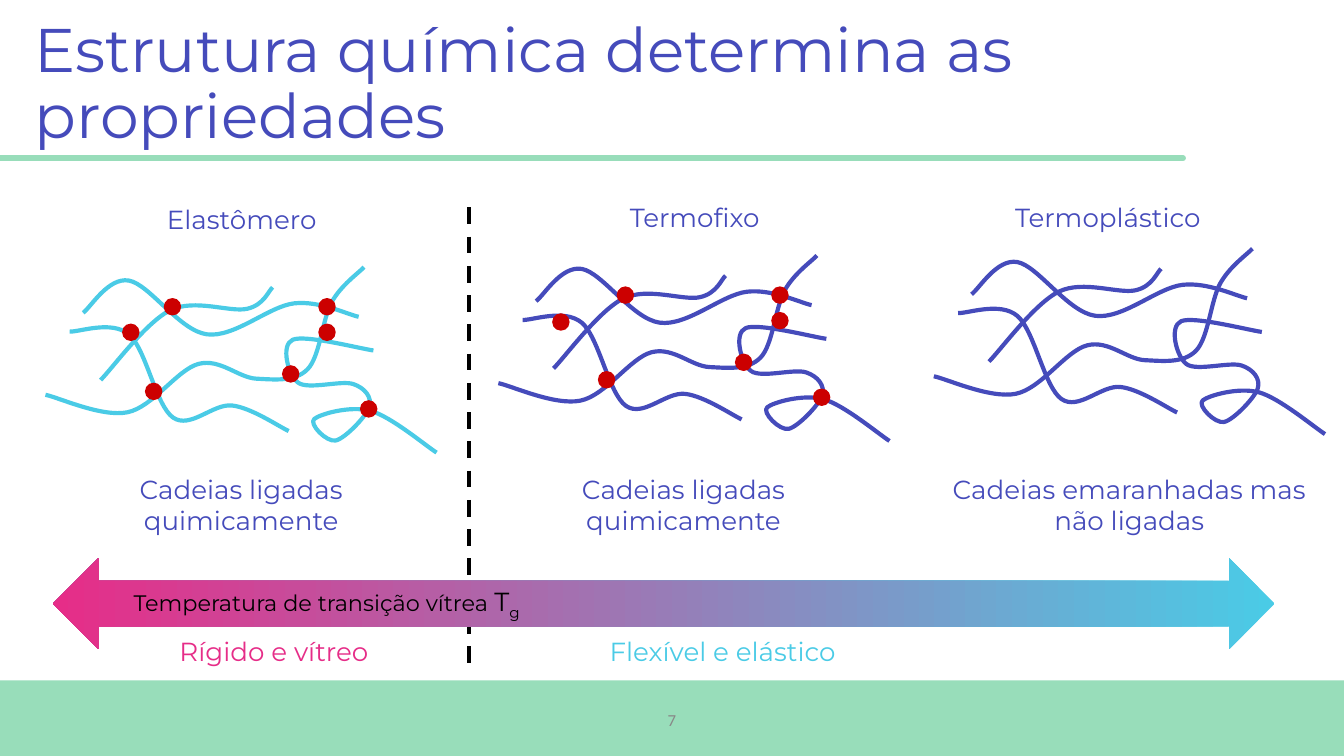
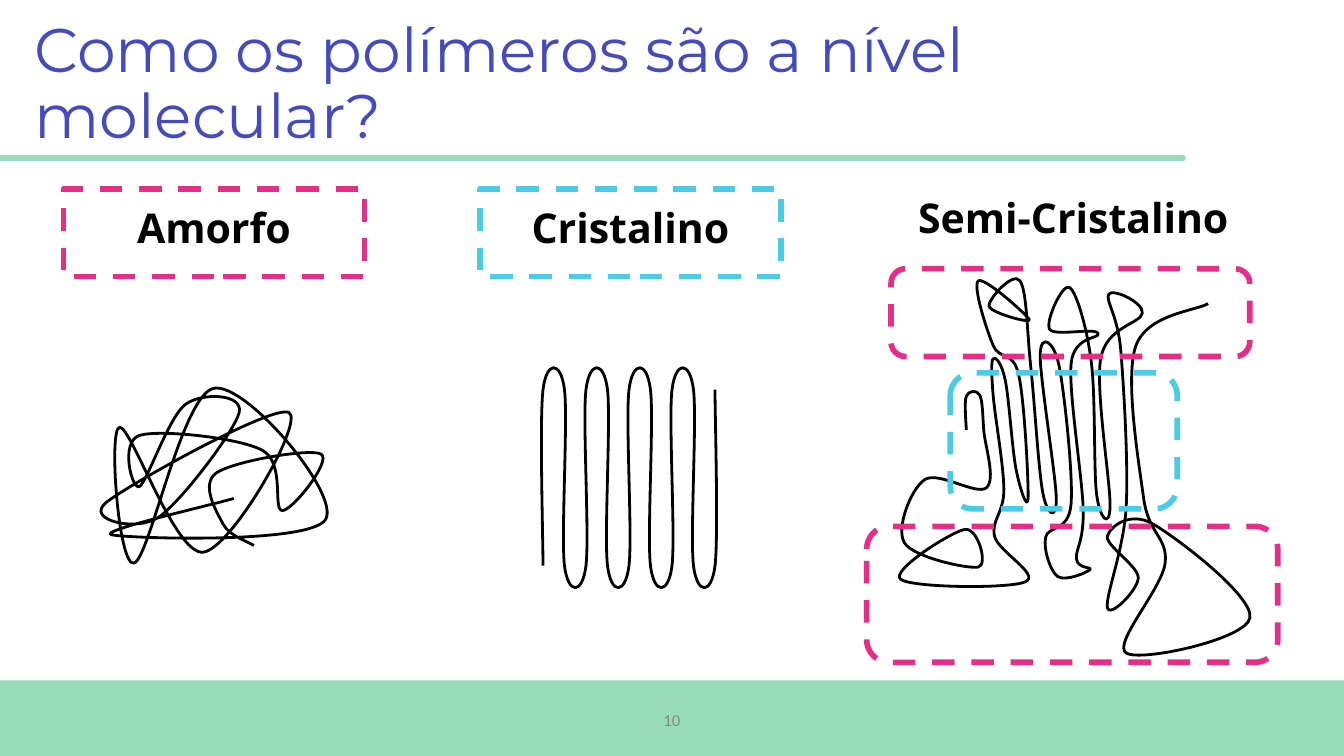
"""Builds two slides on polymer structure: bonded chains and molecular order."""
from dataclasses import dataclass

import lxml.etree
import pptx
import pptx.dml.color
import pptx.enum.dml
import pptx.enum.shapes
import pptx.enum.text
import pptx.oxml.ns
import pptx.util

Cm = pptx.util.Cm
Pt = pptx.util.Pt
qn = pptx.oxml.ns.qn
SHAPES = pptx.enum.shapes.MSO_SHAPE
ALIGN = pptx.enum.text.PP_ALIGN
ANCHOR = pptx.enum.text.MSO_ANCHOR


@dataclass(frozen=True)
class Theme:
    indigo: str = "454BBB"
    cyan: str = "4ACBE6"
    pink: str = "E62D88"
    mint: str = "98DDBA"
    red: str = "CC0000"
    gray: str = "888888"
    black: str = "000000"
    sans: str = "Montserrat"
    heading: str = "Open Sans"
    footer: str = "Calibri"
    title_size: float = 33
    heading_size: float = 22
    label_size: float = 14
    small_size: float = 12
    number_size: float = 9
    thin: float = 1.5
    medium: float = 2.25
    thick: float = 3


THEME = Theme()
SLIDE_W, SLIDE_H = 25.4, 14.29
CURVE_UNIT = 0.0254
LABEL_H, CAPTION_H, CAPTION_TOP, REGIME_TOP = 0.78, 1.4, 8.84, 11.92
TIGHT, WIDE = (0.19, 0.1), (0.25, 0.25)

PROPERTIES_TITLE = "Estrutura química determina as propriedades"
MOLECULAR_TITLE = "Como os polímeros são a nível molecular?"

STRANDS = [
    [(28, 34), (62, 10), (120, 50), (185, 27), (233, 37)],
    [(41, 84), (93, 32), (150, 31), (169, 15)],
    [(237, 0), (213, 26), (195, 76), (157, 83), (114, 72), (61, 108), (0, 95)],
    [(18, 48), (62, 50), (95, 112), (139, 103), (181, 122)],
    [(244, 62), (184, 54), (188, 86), (229, 87), (241, 104), (216, 129), (200, 113),
     (242, 107), (291, 138)],
]
SHARED_LINKS = [(88, 23), (74, 86), (176, 73), (203, 42), (203, 23), (234, 99)]
LINK_SIZE = 0.33

POLYMERS = [
    dict(name="Elastômero", name_at=(2.64, 3.74, 3.86), origin=(0.86, 5.05),
         color=THEME.cyan, links=SHARED_LINKS + [(57, 42)],
         caption="Cadeias ligadas quimicamente", caption_span=(1.93, 5.26)),
    dict(name="Termofixo", name_at=(11.2, 3.7, 3.86), origin=(9.42, 4.83),
         color=THEME.indigo, links=SHARED_LINKS + [(40, 43)],
         caption="Cadeias ligadas quimicamente", caption_span=(10.29, 5.26)),
    dict(name="Termoplástico", name_at=(18.54, 3.7, 4.8), origin=(17.65, 4.7),
         color=THEME.indigo, links=[],
         caption="Cadeias emaranhadas mas não ligadas", caption_span=(17.65, 7.39)),
]
TRANSITION = [("Temperatura de transição vítrea ", THEME.small_size, None),
              ("T", THEME.label_size, None), ("g", THEME.label_size, "-25000")]
TRANSITION_BOX = (1.59, 10.97, 9.17, LABEL_H)
TRANSITION_ARROW = (1, 10.55, 23.09, 1.72)
DIVIDER = (8.86, 3.92, 8.86, 12.69)
REGIMES = [("Rígido e vítreo", 1.42, 7.52, THEME.pink),
           ("Flexível e elástico", 9.42, 8.48, THEME.cyan)]

AMORPHOUS = [
    (189, 406), (166, 390), (161, 352), (239, 338), (210, 380), (195, 335), (104, 324),
    (104, 362), (138, 301), (178, 307), (118, 385), (79, 374), (215, 307), (151, 411),
    (89, 318), (100, 419), (159, 289), (242, 387), (83, 398), (174, 371),
]
LEGS, LEG_LEFT, LEG_STEP, LEG_TOP, LEG_BOTTOM = 9, 404, 16, 290, 421
CRYSTALLINE = [(LEG_LEFT + LEG_STEP * leg, y) for leg in range(LEGS)
               for y in ((LEG_TOP, LEG_BOTTOM) if leg % 2 else (LEG_BOTTOM, LEG_TOP))]
SEMICRYSTALLINE = [
    (719, 320), (719, 295), (729, 294), (732, 320), (734, 363), (688, 357), (673, 404),
    (728, 422), (718, 394), (670, 431), (763, 433), (740, 399), (747, 364), (739, 294),
    (739, 267), (748, 283), (756, 349), (765, 370), (758, 279), (739, 257), (728, 209),
    (766, 238), (736, 228), (759, 209), (767, 273), (776, 367), (786, 371), (774, 264),
    (788, 272), (797, 375), (778, 400), (787, 429), (811, 424), (801, 416), (806, 379),
    (797, 271), (817, 248), (781, 245), (796, 214), (812, 269), (816, 368), (826, 377),
    (819, 267), (850, 233), (825, 219), (834, 261), (838, 377), (824, 452), (847, 430),
    (824, 399), (858, 390), (930, 460), (838, 486), (867, 419), (851, 371), (845, 258),
    (899, 226),
]
ORDERS = [
    ("Amorfo", (1.2, 3.57, 5.69, 1.66), THEME.pink, AMORPHOUS),
    ("Cristalino", (9.07, 3.57, 5.69, 1.66), THEME.cyan, CRYSTALLINE),
    ("Semi-Cristalino", (16.4, 3.38, 7.77, 1.66), None, SEMICRYSTALLINE),
]
ZONES = [
    ((17.96, 7.05, 4.29, 2.57), THEME.cyan),
    ((16.38, 9.95, 7.77, 2.57), THEME.pink),
    ((16.84, 5.08, 6.78, 1.66), THEME.pink),
]


def rgb(color):
    return pptx.dml.color.RGBColor.from_string(color)


def set_line(line, color, width, dashed=False):
    line.color.rgb = rgb(color)
    line.width = Pt(width)
    if dashed:
        line.dash_style = pptx.enum.dml.MSO_LINE.DASH


def set_font(font, name, size, color, bold=None):
    font.name, font.size, font.bold = name, Pt(size), bold
    font.color.rgb = rgb(color)


def set_frame(frame, insets, anchor):
    frame.word_wrap = True
    frame.auto_size = pptx.enum.text.MSO_AUTO_SIZE.NONE
    frame.vertical_anchor = anchor
    frame.margin_left = frame.margin_right = Cm(insets[0])
    frame.margin_top = frame.margin_bottom = Cm(insets[1])


def add_label(slide, text, box, color, font=THEME.sans, size=THEME.label_size,
              bold=None, insets=TIGHT, anchor=ANCHOR.TOP):
    label = slide.shapes.add_textbox(*map(Cm, box))
    set_frame(label.text_frame, insets, anchor)
    paragraph = label.text_frame.paragraphs[0]
    paragraph.text = text
    paragraph.alignment = ALIGN.CENTER
    set_font(paragraph.font, font, size, color, bold)
    return label


def add_preset(slide, preset, box, fill=None):
    shape = slide.shapes.add_shape(preset, *map(Cm, box))
    shape.shadow.inherit = False
    if fill:
        shape.fill.solid()
        shape.fill.fore_color.rgb = rgb(fill)
    else:
        shape.fill.background()
    shape.line.fill.background()
    return shape


def add_rule(slide, ends, color, width, dashed=False):
    rule = slide.shapes.add_connector(pptx.enum.shapes.MSO_CONNECTOR.STRAIGHT, *map(Cm, ends))
    set_line(rule.line, color, width, dashed)
    lxml.etree.SubElement(rule._element.spPr, qn("a:effectLst"))
    return rule


def add_curve(slide, chain, color, width, origin=(0, 0)):
    """Draws a smooth Catmull-Rom curve through the points of a chain."""
    points = [(Cm(origin[0] + x * CURVE_UNIT), Cm(origin[1] + y * CURVE_UNIT))
              for x, y in chain]
    builder = slide.shapes.build_freeform(*points[0])
    builder.add_line_segments(points[1:], close=False)
    curve = builder.convert_to_shape()
    corner = (curve.left, curve.top)
    padded = [points[0], *points, points[-1]]
    spans = zip(padded, padded[1:], padded[2:], padded[3:])
    for segment, (before, start, end, after) in zip(
            list(curve._element.iter(qn("a:lnTo"))), spans):
        bezier = lxml.etree.Element(qn("a:cubicBezTo"))
        for base, tail, head in ((start, before, end), (end, after, start)):
            x, y = (round(b + (h - t) / 6 - c) for b, t, h, c in zip(base, tail, head, corner))
            lxml.etree.SubElement(bezier, qn("a:pt"), x=str(x), y=str(y))
        bezier.append(segment[0])
        segment.getparent().replace(segment, bezier)
    curve.shadow.inherit = False
    curve.fill.background()
    set_line(curve.line, color, width)


def add_base(deck, title, number):
    slide = deck.slides.add_slide(deck.slide_layouts[5])
    add_preset(slide, SHAPES.RECTANGLE, (0, 12.86, SLIDE_W, 1.43), THEME.mint)
    add_label(slide, number, (9.84, 13.22, 5.72, 0.76), THEME.gray, THEME.footer,
              THEME.number_size, anchor=ANCHOR.MIDDLE)
    heading = slide.shapes.title
    heading.left, heading.top, heading.width, heading.height = map(Cm, (0.46, 0.24, 21.9, 2.76))
    set_frame(heading.text_frame, TIGHT, ANCHOR.MIDDLE)
    paragraph = heading.text_frame.paragraphs[0]
    paragraph.text = title
    paragraph.alignment = ALIGN.LEFT
    paragraph.line_spacing = 0.9
    set_font(paragraph.font, THEME.sans, THEME.title_size, THEME.indigo)
    rule = add_rule(slide, (0, 2.99, 22.36, 2.99), THEME.mint, THEME.thick)
    rule.line._ln.set("cap", "rnd")
    return slide


def add_transition(slide):
    arrow = add_preset(slide, SHAPES.LEFT_RIGHT_ARROW, TRANSITION_ARROW)
    arrow.rotation = 180
    arrow.fill.gradient()
    arrow.fill.gradient_angle = 0
    for stop, color in zip(arrow.fill.gradient_stops, (THEME.cyan, THEME.pink)):
        stop.color.rgb = rgb(color)
    label = add_label(slide, "", TRANSITION_BOX, THEME.black)
    for text, size, baseline in TRANSITION:
        run = label.text_frame.paragraphs[0].add_run()
        run.text, run.font.size = text, Pt(size)
        if baseline:
            run._r.get_or_add_rPr().set("baseline", baseline)


def build_properties(deck):
    slide = add_base(deck, PROPERTIES_TITLE, "7")
    for polymer in POLYMERS:
        left, top = polymer["origin"]
        add_label(slide, polymer["name"], (*polymer["name_at"], LABEL_H), THEME.indigo)
        for strand in STRANDS:
            add_curve(slide, strand, polymer["color"], THEME.medium, polymer["origin"])
        for x, y in polymer["links"]:
            add_preset(slide, SHAPES.OVAL, (left + x * CURVE_UNIT, top + y * CURVE_UNIT,
                                            LINK_SIZE, LINK_SIZE), THEME.red)
        caption_left, caption_width = polymer["caption_span"]
        add_label(slide, polymer["caption"],
                  (caption_left, CAPTION_TOP, caption_width, CAPTION_H), THEME.indigo)
    add_rule(slide, DIVIDER, THEME.black, THEME.medium, dashed=True)
    add_transition(slide)
    for text, left, width, color in REGIMES:
        add_label(slide, text, (left, REGIME_TOP, width, LABEL_H), color)


def build_molecular(deck):
    slide = add_base(deck, MOLECULAR_TITLE, "10")
    for name, box, frame_color, chain in ORDERS:
        add_curve(slide, chain, THEME.black, THEME.thin)
        label = add_label(slide, name, box, THEME.black, THEME.heading,
                          THEME.heading_size, True, WIDE)
        if frame_color:
            set_line(label.line, frame_color, THEME.thick, dashed=True)
    for box, color in ZONES:
        zone = add_preset(slide, SHAPES.ROUNDED_RECTANGLE, box)
        set_line(zone.line, color, THEME.thick, dashed=True)


def main():
    deck = pptx.Presentation()
    deck.slide_width, deck.slide_height = Cm(SLIDE_W), Cm(SLIDE_H)
    build_properties(deck)
    build_molecular(deck)
    deck.save("out.pptx")


if __name__ == "__main__":
    main()
